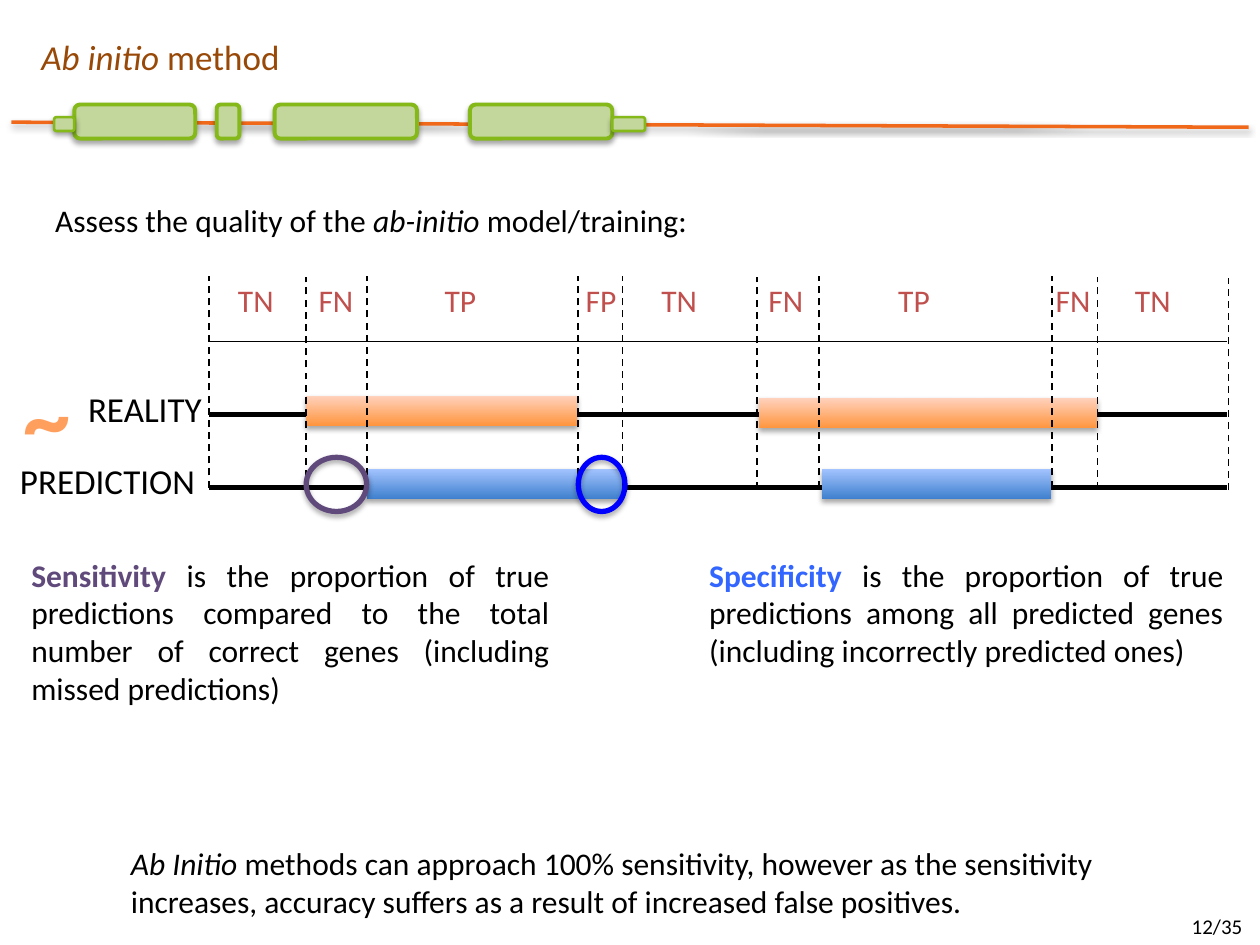
import pptx
import pptx.util
import pptx.dml.color
import pptx.enum.dml
import pptx.enum.shapes
import pptx.enum.text
import pptx.oxml
import pptx.oxml.ns
from dataclasses import dataclass

Inches, Pt = pptx.util.Inches, pptx.util.Pt
SHAPE = pptx.enum.shapes.MSO_SHAPE
ALIGN = pptx.enum.text.PP_ALIGN


@dataclass(frozen=True)
class Theme:
    font: str = "Calibri"
    small: int = 12
    body: int = 18
    label: int = 20
    sign: int = 54
    ink: str = "000000"
    title: str = "984807"
    outcome: str = "C0504D"
    tilde: str = "FF9F5D"
    genome: str = "F0681A"
    exon_fill: str = "C3D69B"
    exon_line: str = "84B919"
    sensitivity: str = "604A7B"
    specificity: str = "3366FF"
    false_positive: str = "0000FF"
    reality: tuple = ("FF953E", "FFD2BD")
    prediction: tuple = ("3F80CE", "A4C4FF")


def rgb(value):
    return pptx.dml.color.RGBColor.from_string(value)


class SlideBuilder:
    def __init__(self, slide, theme):
        self.s = slide
        self.t = theme

    def effects(self, sp, shadow=False, dist=1.8, alpha=35):
        """Replace the theme shadow with an explicit one, or with none."""
        inner = ""
        if shadow:
            inner = (f'<a:outerShdw blurRad="{Pt(3.1)}" dist="{Pt(dist)}" dir="5400000" '
                     f'rotWithShape="0"><a:srgbClr val="000000">'
                     f'<a:alpha val="{alpha * 1000}"/></a:srgbClr></a:outerShdw>')
        ns = pptx.oxml.ns.nsdecls("a")
        sp._element.spPr.append(
            pptx.oxml.parse_xml(f"<a:effectLst {ns}>{inner}</a:effectLst>"))

    def line(self, x1, y1, x2, y2, width=1, color=None, dashed=False, shadow=False):
        sp = self.s.shapes.add_connector(
            pptx.enum.shapes.MSO_CONNECTOR.STRAIGHT,
            Inches(x1), Inches(y1), Inches(x2), Inches(y2))
        sp.line.color.rgb = rgb(color or self.t.ink)
        sp.line.width = Pt(width)
        if dashed:
            sp.line.dash_style = pptx.enum.dml.MSO_LINE.DASH
        self.effects(sp, shadow, dist=1.6, alpha=38)

    def shape(self, kind, x, y, w, h, fill=None, line=None, width=1):
        """Draw a shadowed shape; a pair of fill colours runs from bottom to top."""
        sp = self.s.shapes.add_shape(kind, Inches(x), Inches(y), Inches(w), Inches(h))
        if fill is None:
            sp.fill.background()
        elif isinstance(fill, tuple):
            sp.fill.gradient()
            sp.fill.gradient_angle = 90
            for stop, color in zip(sp.fill.gradient_stops, fill):
                stop.color.rgb = rgb(color)
        else:
            sp.fill.solid()
            sp.fill.fore_color.rgb = rgb(fill)
        if line:
            sp.line.color.rgb = rgb(line)
            sp.line.width = Pt(width)
        else:
            sp.line.fill.background()
        self.effects(sp, shadow=True)

    def text(self, x, y, w, h, *runs, size=None, color=None, align=None,
             wrap=True, grow=True):
        """Each run is a string or a pair of string and font settings."""
        tf = self.s.shapes.add_textbox(Inches(x), Inches(y), Inches(w), Inches(h)).text_frame
        tf.word_wrap = wrap
        if grow:
            tf.auto_size = pptx.enum.text.MSO_AUTO_SIZE.SHAPE_TO_FIT_TEXT
        p = tf.paragraphs[0]
        if align is not None:
            p.alignment = align
        for run in runs:
            words, style = (run, {}) if isinstance(run, str) else run
            r = p.add_run()
            r.text = words
            r.font.name = self.t.font
            r.font.size = Pt(size or self.t.body)
            r.font.bold = style.get("bold", False)
            r.font.italic = style.get("italic", False)
            r.font.color.rgb = rgb(style.get("color", color or self.t.ink))


def main():
    prs = pptx.Presentation()
    prs.slide_width, prs.slide_height = Inches(10), Inches(7.5)
    t = Theme()
    b = SlideBuilder(prs.slides.add_slide(prs.slide_layouts[6]), t)
    italic = {"italic": True}

    # Gene model under the title
    b.line(0.09, 0.97, 9.91, 1.01, 2, t.genome, shadow=True)
    for x, w in ((0.59, 0.96), (1.72, 0.18), (2.18, 1.13), (3.73, 1.13)):
        b.shape(SHAPE.ROUNDED_RECTANGLE, x, 0.83, w, 0.27, t.exon_fill, t.exon_line, 2.25)
    for x, w in ((4.86, 0.26), (0.43, 0.16)):
        b.shape(SHAPE.ROUNDED_RECTANGLE, x, 0.93, w, 0.11, t.exon_fill, t.exon_line, 1.5)

    # Title and running text
    b.text(0.23, 0.23, 2.11, 0.44, ("Ab initio", italic), " method",
           size=t.label, color=t.title, wrap=False)
    b.text(0.34, 1.55, 5.27, 0.4, "Assess the quality of the ", ("ab-initio ", italic),
           "model/training:", wrap=False)
    b.text(0.15, 4.36, 4.31, 1.31,
           ("Sensitivity ", {"bold": True, "color": t.sensitivity}),
           "is the proportion of true predictions compared to the total number of "
           "correct genes (including missed predictions)", align=ALIGN.JUSTIFY)
    b.text(5.53, 4.36, 4.28, 1.01,
           ("Specificity ", {"bold": True, "color": t.specificity}),
           "is the proportion of true predictions among all predicted genes "
           "(including incorrectly predicted ones)", align=ALIGN.JUSTIFY)
    b.text(0.94, 6.65, 8.12, 0.71, ("Ab Initio ", italic),
           "methods can approach 100% sensitivity, however as the sensitivity increases, "
           "accuracy suffers as a result of increased false positives.")
    b.text(0.06, 2.79, 0.62, 1.01, ("~", {"bold": True}),
           size=t.sign, color=t.tilde, align=ALIGN.CENTER)

    # Tracks: outcome rule, reality, prediction
    for y, width in ((2.71, 1), (3.29, 3), (3.87, 3)):
        b.line(1.66, y, 9.74, y, width)
    for x, y, w, fill in ((2.43, 3.14, 2.15, t.reality), (6.02, 3.16, 2.69, t.reality),
                          (2.91, 3.72, 2.03, t.prediction), (6.52, 3.72, 1.82, t.prediction)):
        b.shape(SHAPE.RECTANGLE, x, y, w, 0.24, fill)

    # Dashed boundaries between outcomes
    for x, top in ((1.66, 2.19), (2.43, 2.2), (2.91, 2.19), (4.59, 2.19), (4.94, 2.19),
                   (6.01, 2.2), (6.5, 2.19), (8.35, 2.19), (8.71, 2.2), (9.75, 2.21)):
        b.line(x, top + 1.68, x, top, dashed=True)

    # Outcome labels
    widths = {"TN": 0.64, "FN": 0.62, "TP": 0.59, "FP": 0.57}
    for x, outcome in ((1.79, "TN"), (2.43, "FN"), (3.43, "TP"), (4.55, "FP"), (5.15, "TN"),
                       (6, "FN"), (7.03, "TP"), (8.28, "FN"), (8.91, "TN")):
        b.text(x, 2.18, widths[outcome], 0.5, outcome, color=t.outcome, wrap=False)

    # Track names
    for x, y, w, name in ((0.6, 3.03, 1.39, "REALITY"), (0.06, 3.6, 1.85, "PREDICTION")):
        b.text(x, y, w, 0.43, name, size=t.label, wrap=False)

    # Rings around the missed and the wrong prediction
    for x, w, color in ((2.43, 0.48, t.sensitivity), (4.59, 0.37, t.false_positive)):
        b.shape(SHAPE.OVAL, x, 3.63, w, 0.43, line=color, width=3)

    # Page number
    b.text(9.36, 7.2, 0.64, 0.3, "12/35", size=t.small, grow=False)

    prs.save("out.pptx")


if __name__ == "__main__":
    main()
